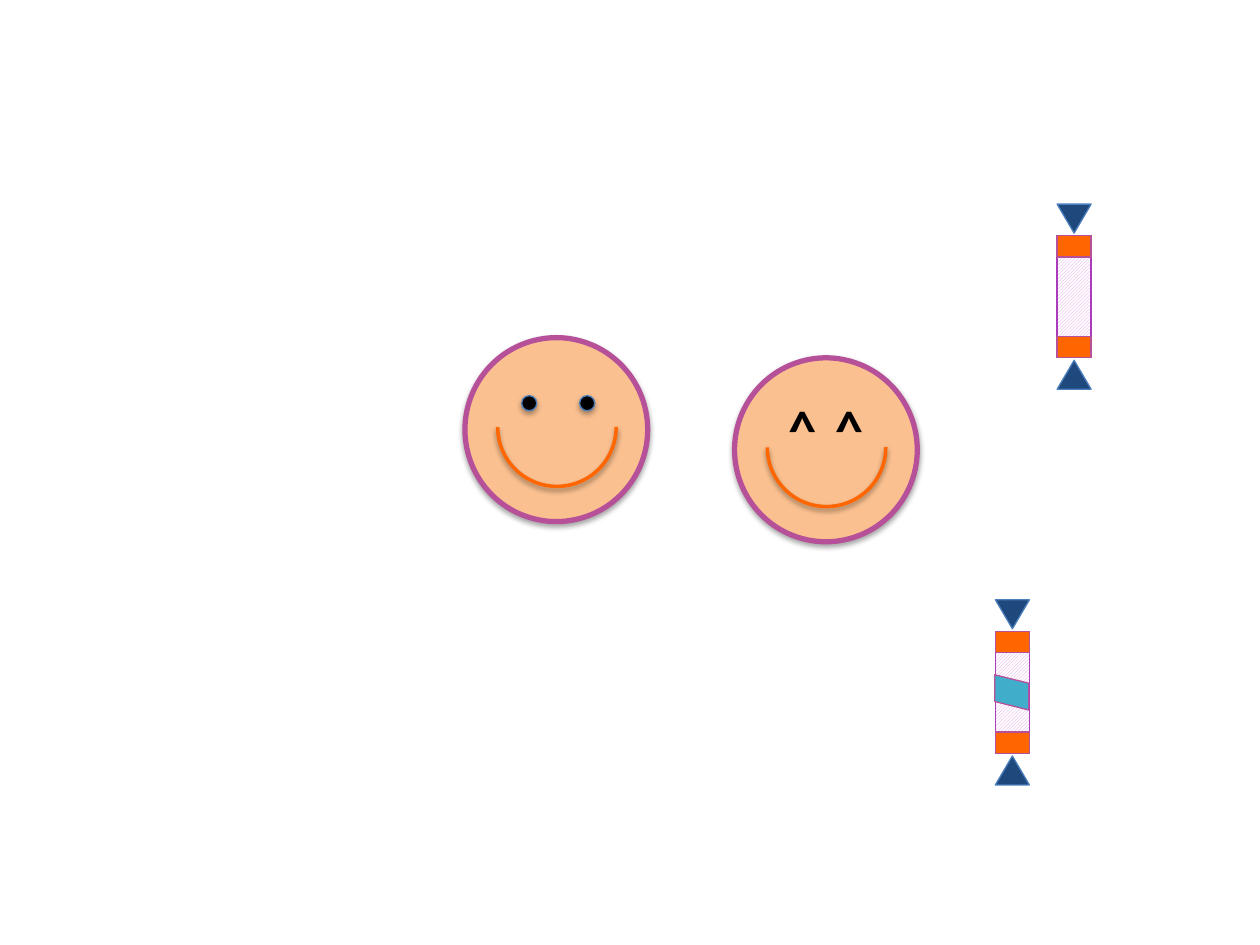
from dataclasses import dataclass

from lxml.etree import SubElement
from pptx import Presentation
from pptx.dml.color import RGBColor
from pptx.enum.dml import MSO_PATTERN_TYPE
from pptx.enum.shapes import MSO_SHAPE
from pptx.enum.text import MSO_AUTO_SIZE
from pptx.oxml.ns import qn
from pptx.util import Pt

PX = 9144


@dataclass(frozen=True)
class Theme:
    skin: str = "FAC090"
    plum: str = "B65199"
    orange: str = "FF6600"
    black: str = "000000"
    blue: str = "4B7EBC"
    navy: str = "1F497D"
    teal: str = "40AECB"
    violet: str = "AA3BBB"
    hatch: str = "E197E6"
    white: str = "FFFFFF"
    font: str = "Calibri"
    eye_size: int = 32


T = Theme()
rgb = RGBColor.from_string


def add_shape(shapes, kind, box, fill, line, width=0.75, rotation=0):
    sp = shapes.add_shape(kind, *[v * PX for v in box])
    sp.rotation = rotation
    sp.shadow.inherit = False
    if fill:
        sp.fill.solid()
        sp.fill.fore_color.rgb = rgb(fill)
    else:
        sp.fill.background()
    sp.line.color.rgb = rgb(line)
    sp.line.width = Pt(width)
    return sp


def add_shadow(sp, alpha, dist):
    effects = sp._element.spPr.find(qn("a:effectLst"))
    shadow = SubElement(effects, qn("a:outerShdw"), blurRad=str(Pt(3.1)),
                        dist=str(Pt(dist)), dir="5400000", rotWithShape="0")
    color = SubElement(shadow, qn("a:srgbClr"), val=T.black)
    SubElement(color, qn("a:alpha"), val=str(alpha * 1000))


prs = Presentation()
prs.slide_width = 1000 * PX
prs.slide_height = 750 * PX
s = prs.slides.add_slide(prs.slide_layouts[6])

for x, y, eyes in [(369, 268, "dots"), (583, 284, "carets")]:
    face = add_shape(s.shapes, MSO_SHAPE.OVAL, (x, y, 145, 146), T.skin, T.plum, 3)
    add_shadow(face, 35, 1.8)
    smile = add_shape(s.shapes, MSO_SHAPE.ARC, (x + 26, y + 24, 94, 94),
                      None, T.orange, 2, 180)
    smile.adjustments[0] = 107.84
    smile.adjustments[1] = 0
    add_shadow(smile, 38, 1.6)
    if eyes == "dots":
        for dx in (45, 91):
            eye = add_shape(s.shapes, MSO_SHAPE.OVAL, (x + dx, y + 46, 12, 12),
                            T.black, T.blue)
            add_shadow(eye, 35, 1.8)
    else:
        for dx in (33, 70):
            tb = s.shapes.add_textbox((x + dx) * PX, (y + 24) * PX, 43 * PX, 64 * PX)
            tf = tb.text_frame
            tf.word_wrap = False
            tf.auto_size = MSO_AUTO_SIZE.SHAPE_TO_FIT_TEXT
            tf.text = "^"
            r = tf.paragraphs[0].runs[0]
            r.font.name = T.font
            r.font.size = Pt(T.eye_size)
            r.font.bold = True
            r.font.color.rgb = rgb(T.black)

grp = s.shapes.add_group_shape()
for shapes, x, y in [(grp.shapes, 839, 187), (s.shapes, 790, 501)]:
    body = add_shape(shapes, MSO_SHAPE.RECTANGLE, (x, y, 27, 97), T.white, T.violet)
    body.fill.patterned()
    body.fill.pattern = MSO_PATTERN_TYPE.DARK_UPWARD_DIAGONAL
    body.fill.fore_color.rgb = rgb(T.hatch)
    body.fill.back_color.rgb = rgb(T.white)
    for dy in (80, 0):
        add_shape(shapes, MSO_SHAPE.RECTANGLE, (x, y + dy, 27, 17), T.orange, T.plum)
    for dy, rotation in [(-25, 180), (99, 0)]:
        add_shape(shapes, MSO_SHAPE.ISOSCELES_TRIANGLE, (x, y + dy, 27, 23),
                  T.navy, T.blue, rotation=rotation)

add_shape(s.shapes, MSO_SHAPE.PARALLELOGRAM, (789, 536, 28, 27), T.teal, T.plum,
          rotation=90)

prs.save("out.pptx")
